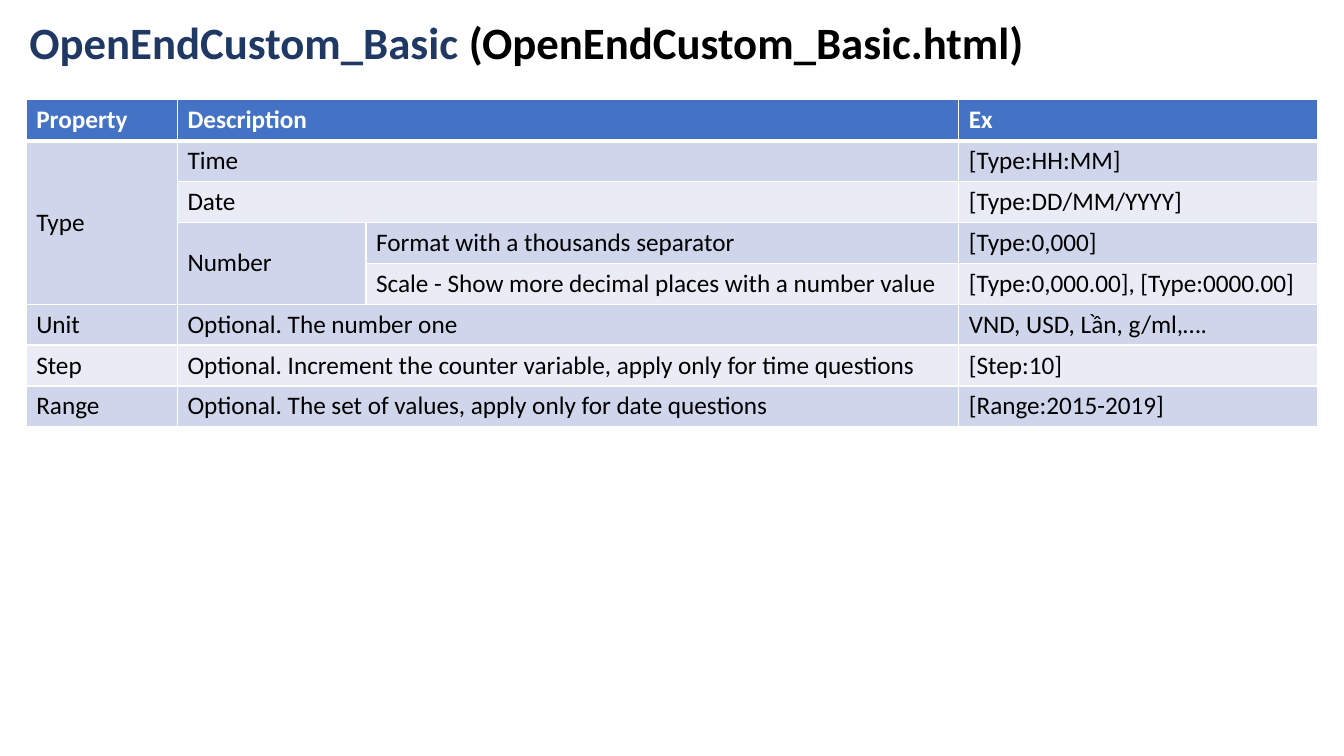
from lxml import etree
from pptx import Presentation
from pptx.dml.color import RGBColor
from pptx.enum.text import MSO_ANCHOR, MSO_AUTO_SIZE, PP_ALIGN
from pptx.oxml.ns import qn
from pptx.util import Inches, Pt

LEFT = PP_ALIGN.LEFT
TOP, MIDDLE = MSO_ANCHOR.TOP, MSO_ANCHOR.MIDDLE
FIXED = MSO_AUTO_SIZE.NONE

COLORS = {
    "navy": "203864", "black": "000000", "white": "FFFFFF",
    "head": "4472C4", "odd": "CFD5EA", "even": "E9EBF5",
}
WIDTHS = [1.5, 1.87, 5.88, 3.56]
HEIGHT = 0.405
ROWS = [
    ["Property", "Description", None, "Ex"],
    ["Type", "Time", None, "[Type:HH:MM]"],
    [None, "Date", None, "[Type:DD/MM/YYYY]"],
    [None, "Number", "Format with a thousands separator", "[Type:0,000]"],
    [None, None, "Scale - Show more decimal places with a number value",
     "[Type:0,000.00], [Type:0000.00]"],
    ["Unit", "Optional. The number one", None, "VND, USD, Lần, g/ml,…."],
    ["Step", "Optional. Increment the counter variable, "
     "apply only for time questions", None, "[Step:10]"],
    ["Range", "Optional. The set of values, apply only for date questions",
     None, "[Range:2015-2019]"],
]
TALL = {(1, 0): 4, (3, 1): 2}  # (row, column): rows spanned
WIDE = [0, 1, 2, 5, 6, 7]  # rows whose description fills two columns


def write(para, text, size=18, color="black", bold=False, font="Calibri"):
    """Add a formatted run to a paragraph."""
    run = para.add_run()
    run.text = text
    run.font.name, run.font.size, run.font.bold = font, Pt(size), bold
    run.font.color.rgb = RGBColor.from_string(COLORS[color])


def edge(cell, base):
    """Give a cell white borders, with the bottom one of a chosen width."""
    props = cell._tc.get_or_add_tcPr()
    sides = {"lnL": 1, "lnR": 1, "lnT": 1, "lnB": base}
    for spot, (side, width) in enumerate(sides.items()):
        line = etree.Element(qn("a:" + side), w=str(Pt(width)))
        fill = etree.SubElement(line, qn("a:solidFill"))
        etree.SubElement(fill, qn("a:srgbClr"), val=COLORS["white"])
        props.insert(spot, line)


class Page:
    """Holds the current slide and draws its elements."""

    def __init__(self, deck):
        """Add a title-only slide."""
        self.slide = deck.slides.add_slide(deck.slide_layouts[5])

    def title(self, parts, left, top, width, height):
        """Place the title and write its coloured parts."""
        shape = self.slide.shapes.title
        shape.left, shape.top = Inches(left), Inches(top)
        shape.width, shape.height = Inches(width), Inches(height)
        frame = shape.text_frame
        frame.auto_size, frame.word_wrap = FIXED, True
        frame.vertical_anchor = MIDDLE
        para = frame.paragraphs[0]
        para.alignment, para.line_spacing = LEFT, 0.9
        for text, color in parts:
            write(para, text, size=32, color=color, bold=True)

    def table(self, rows, widths, left, top, height):
        """Draw a banded table with a header row and merged cells."""
        grid = self.slide.shapes.add_table(
            len(rows), len(widths), Inches(left), Inches(top),
            Inches(sum(widths)), Inches(height * len(rows))).table
        for col, width in zip(grid.columns, widths):
            col.width = Inches(width)
        for r, row in enumerate(rows):
            grid.rows[r].height = Inches(height)
            band = "head" if r == 0 else "odd" if r % 2 else "even"
            for c, text in enumerate(row):
                self.cell(grid.cell(r, c), text, band,
                          MIDDLE if (r, c) in TALL else TOP)
        for (r, c), span in TALL.items():
            grid.cell(r, c).merge(grid.cell(r + span - 1, c))
        for r in WIDE:
            grid.cell(r, 1).merge(grid.cell(r, 2))

    def cell(self, cell, text, band, anchor):
        """Fill, border and label one cell."""
        head = band == "head"
        cell.fill.solid()
        cell.fill.fore_color.rgb = RGBColor.from_string(COLORS[band])
        cell.vertical_anchor = anchor
        edge(cell, 3 if head else 1)
        if text:
            write(cell.text_frame.paragraphs[0], text, bold=head,
                  color="white" if head else "black")


deck = Presentation()
deck.slide_width, deck.slide_height = Inches(13.33), Inches(7.5)
page = Page(deck)
page.title([("OpenEndCustom_Basic ", "navy"),
            ("(OpenEndCustom_Basic.html)", "black")], 0.19, 0.11, 11.5, 0.67)
page.table(ROWS, WIDTHS, 0.26, 0.99, HEIGHT)
deck.save("out.pptx")
